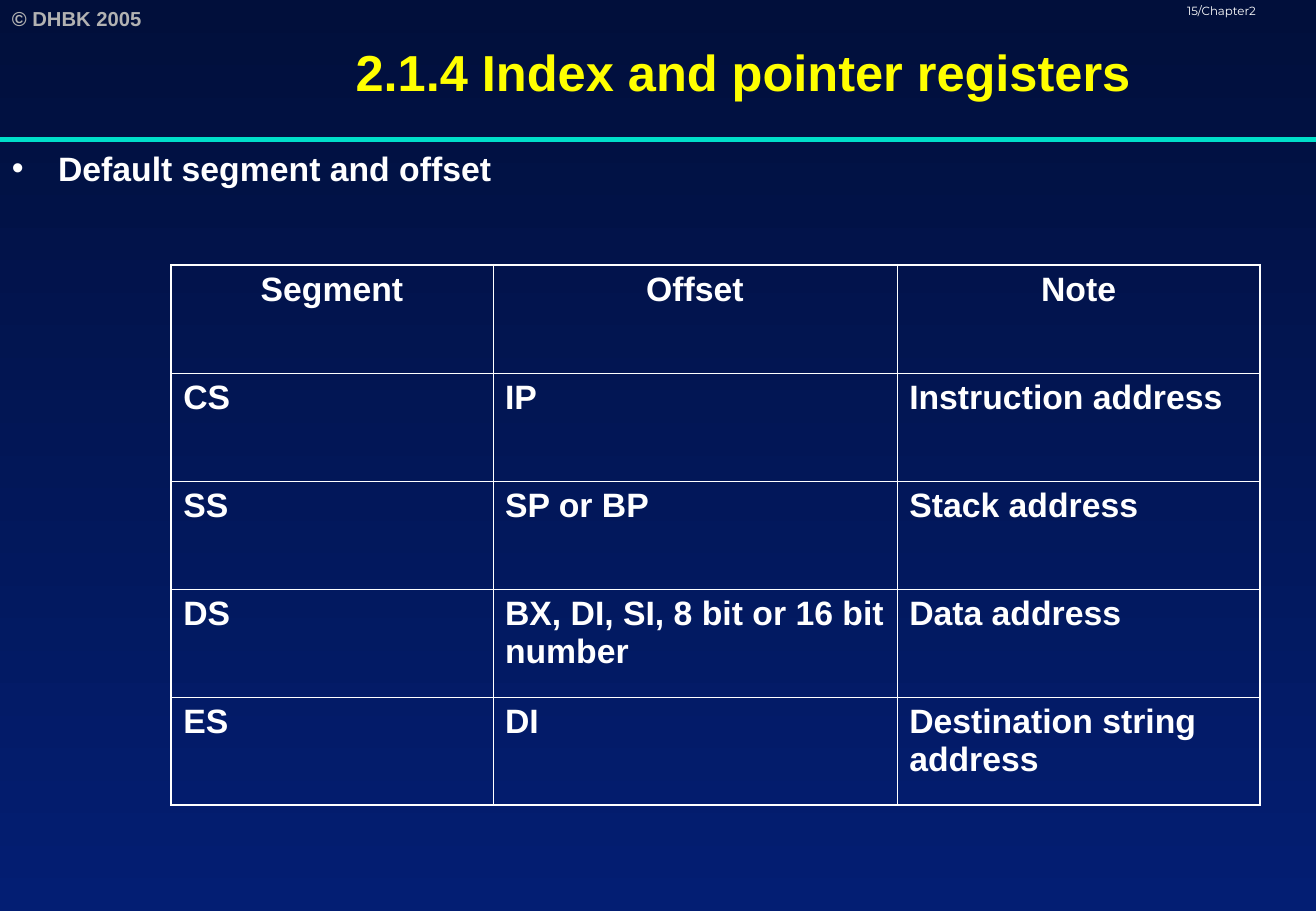
"""Build the slide on default segment and offset registers."""
from lxml import etree
from pptx import Presentation
from pptx.dml.color import RGBColor
from pptx.enum.shapes import MSO_CONNECTOR
from pptx.enum.text import MSO_ANCHOR, PP_ALIGN
from pptx.oxml.ns import qn
from pptx.util import Inches, Pt

CENTER, LEFT = PP_ALIGN.CENTER, PP_ALIGN.LEFT
TOP, MIDDLE = MSO_ANCHOR.TOP, MSO_ANCHOR.MIDDLE
STRAIGHT = MSO_CONNECTOR.STRAIGHT

WIDTH, HEIGHT = 10.84, 7.5
BACKGROUND = ["010F3B", "031E73"]
WHITE = "FFFFFF"
RULE_COLOR, RULE_Y = "00DFCA", 1.15

COPYRIGHT = "© DHBK 2005"
PAGE = "15/Chapter2"
TITLE = "2.1.4 Index and pointer registers"
BULLET = "Default segment and offset"
ROWS = [
    ("Segment", "Offset", "Note"),
    ("CS", "IP", "Instruction address"),
    ("SS", "SP or BP", "Stack address"),
    ("DS", "BX, DI, SI, 8 bit or 16 bit number", "Data address"),
    ("ES", "DI", "Destination string address"),
]
TABLE_LEFT, TABLE_TOP = 1.41, 2.18
COL_WIDTHS = [2.65, 3.33, 2.99]
ROW_HEIGHT = 0.89
OUTER, INNER = 1.08, 0.45


def rgb(color):
    return RGBColor.from_string(color)


def style(p, size, color=WHITE, bold=True, font="Arial", align=LEFT):
    p.alignment = align
    for r in p.runs:
        r.font.name, r.font.size, r.font.bold = font, Pt(size), bold
        r.font.color.rgb = rgb(color)


def add_text(s, text, box, size, anchor=TOP, **look):
    tf = s.shapes.add_textbox(*map(Inches, box)).text_frame
    tf.word_wrap, tf.vertical_anchor = True, anchor
    tf.text = text
    style(tf.paragraphs[0], size, **look)
    return tf.paragraphs[0]


def add_bullet(p, indent):
    pPr = p._p.get_or_add_pPr()
    pPr.set("marL", str(Inches(indent)))
    pPr.set("indent", str(-Inches(indent)))
    color = etree.SubElement(pPr, qn("a:buClr"))
    etree.SubElement(color, qn("a:srgbClr"), val=WHITE)
    etree.SubElement(pPr, qn("a:buFont"), typeface="Arial")
    etree.SubElement(pPr, qn("a:buChar"), char="•")


def set_borders(cell, widths):
    tcPr = cell._tc.get_or_add_tcPr()
    for i, (side, width) in enumerate(zip("LRTB", widths)):
        ln = etree.Element(qn(f"a:ln{side}"), w=str(Pt(width)))
        fill = etree.SubElement(ln, qn("a:solidFill"))
        etree.SubElement(fill, qn("a:srgbClr"), val=WHITE)
        tcPr.insert(i, ln)


def add_register_table(s):
    n_rows, n_cols = len(ROWS), len(COL_WIDTHS)
    size = (sum(COL_WIDTHS), ROW_HEIGHT * n_rows)
    table = s.shapes.add_table(
        n_rows, n_cols, *map(Inches, (TABLE_LEFT, TABLE_TOP, *size))).table
    table.first_row = table.horz_banding = False
    for col, width in zip(table.columns, COL_WIDTHS):
        col.width = Inches(width)
    for i, row in enumerate(ROWS):
        table.rows[i].height = Inches(ROW_HEIGHT)
        for j, text in enumerate(row):
            cell = table.cell(i, j)
            cell.text_frame.text = text
            style(cell.text_frame.paragraphs[0], 20, align=LEFT if i else CENTER)
            cell.fill.background()
            edges = (j == 0, j == n_cols - 1, i == 0, i == n_rows - 1)
            set_borders(cell, [OUTER if edge else INNER for edge in edges])


def main():
    prs = Presentation()
    prs.slide_width, prs.slide_height = Inches(WIDTH), Inches(HEIGHT)
    s = prs.slides.add_slide(prs.slide_layouts[6])

    fill = s.background.fill
    fill.gradient()
    fill.gradient_angle = 270
    for stop, color in zip(fill.gradient_stops, BACKGROUND):
        stop.color.rgb = rgb(color)

    add_text(s, COPYRIGHT, (0, 0, 1.57, 0.3), 12, color="B2B2B2")
    rule = s.shapes.add_connector(
        STRAIGHT, *map(Inches, (0, RULE_Y, WIDTH, RULE_Y)))
    rule.line.color.rgb, rule.line.width = rgb(RULE_COLOR), Pt(3)
    etree.SubElement(rule._element.spPr, qn("a:effectLst"))

    page = add_text(s, PAGE, (9.68, 0, 1.58 - 0.42, 0.25), 7,
                    bold=False, font="Montserrat")
    page.line_spacing = 0.8
    add_text(s, TITLE, (1.41, 0, 9.43, 1.17), 30, anchor=MIDDLE,
             color="FFFF00", align=CENTER)
    add_bullet(add_text(s, BULLET, (0, 1.17, WIDTH, 6.33), 20), 0.38)
    add_register_table(s)
    prs.save("out.pptx")


if __name__ == "__main__":
    main()
